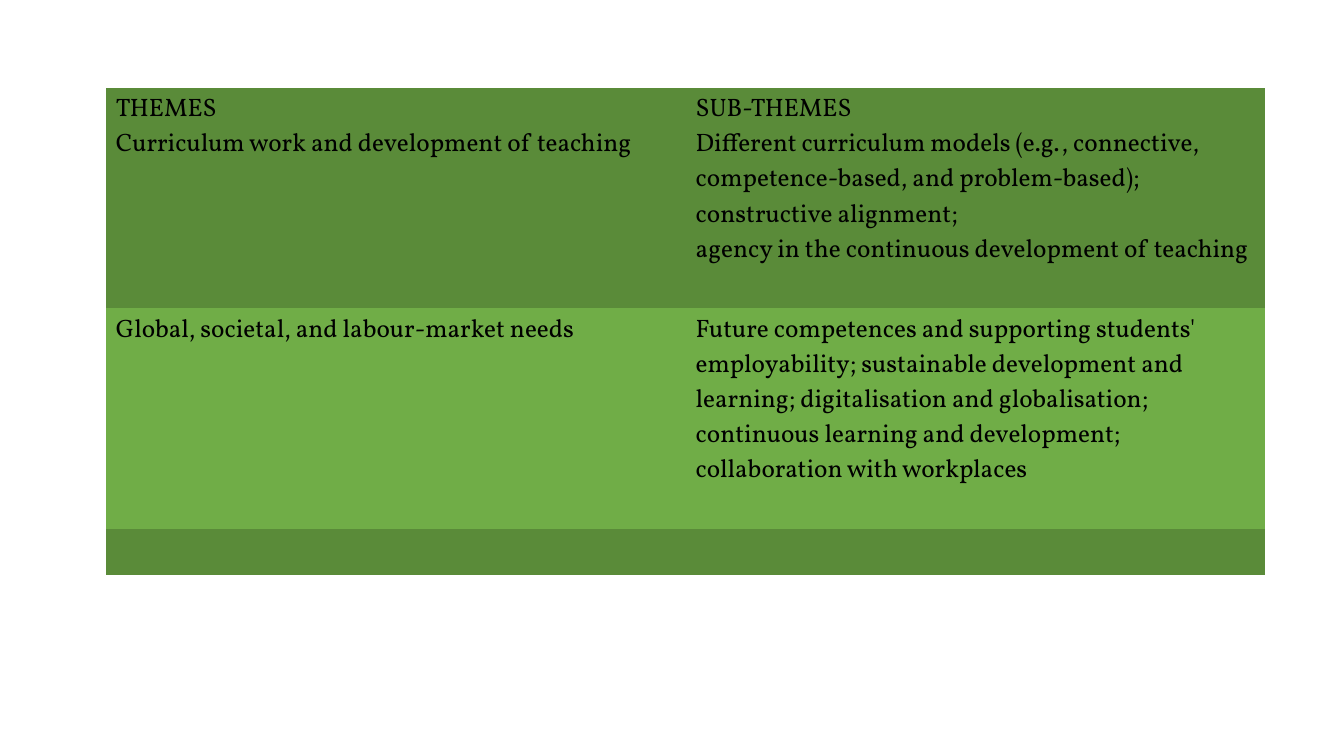
import dataclasses
import pptx
import pptx.dml.color
import pptx.oxml.ns
import pptx.util

Inches = pptx.util.Inches


@dataclasses.dataclass(frozen=True)
class Theme:
    font: str = "Vollkorn"
    size: float = 18
    text: str = "000000"
    dark: str = "5A8B39"
    light: str = "70AD47"
    table_style: str = "{2D5ABB26-0587-4C30-8999-92F81FD0307C}"


@dataclasses.dataclass(frozen=True)
class ThemeRow:
    themes: tuple[str, ...]
    sub_themes: tuple[str, ...]
    height: float
    fill: str


THEME = Theme()
COLUMN_WIDTH = 5.75
ROWS = (
    ThemeRow(
        ("THEMES", "Curriculum work and development of teaching"),
        (
            "SUB-THEMES",
            "Different curriculum models (e.g., connective, competence-based, "
            "and problem-based); constructive alignment;",
            "agency in the continuous development of teaching",
        ),
        2.19,
        THEME.dark,
    ),
    ThemeRow(
        ("Global, societal, and labour-market needs",),
        (
            "Future competences and supporting students' employability; "
            "sustainable development and learning; digitalisation and "
            "globalisation; continuous learning and development; "
            "collaboration with workplaces",
        ),
        2.19,
        THEME.light,
    ),
    ThemeRow((), (), 0.45, THEME.dark),
)


def add_text(p, text: str, *, font: str = THEME.font, size: float = THEME.size,
             color: str = THEME.text, bold: bool = False) -> None:
    r = p.add_run()
    r.text = text
    r.font.name = font
    r.font.size = pptx.util.Pt(size)
    r.font.bold = bold
    r.font.color.rgb = pptx.dml.color.RGBColor.from_string(color)


def fill_cell(cell, lines: tuple[str, ...], fill: str) -> None:
    cell.fill.solid()
    cell.fill.fore_color.rgb = pptx.dml.color.RGBColor.from_string(fill)
    tf = cell.text_frame
    for i, line in enumerate(lines):
        add_text(tf.add_paragraph() if i else tf.paragraphs[0], line)


def add_theme_table(s, rows: tuple[ThemeRow, ...], left: float, top: float) -> None:
    table = s.shapes.add_table(
        len(rows), 2, Inches(left), Inches(top), Inches(2 * COLUMN_WIDTH),
        Inches(sum(row.height for row in rows)),
    ).table
    table.first_row = table.horz_banding = False
    style = table._tbl.tblPr.find(pptx.oxml.ns.qn("a:tableStyleId"))
    style.text = THEME.table_style
    for column in table.columns:
        column.width = Inches(COLUMN_WIDTH)
    for table_row, row in zip(table.rows, rows):
        table_row.height = Inches(row.height)
        for cell, lines in zip(table_row.cells, (row.themes, row.sub_themes)):
            fill_cell(cell, lines, row.fill)


prs = pptx.Presentation()
prs.slide_width = Inches(13.33)
prs.slide_height = Inches(7.5)
s = prs.slides.add_slide(prs.slide_layouts[6])
add_theme_table(s, ROWS, 1.05, 0.87)
prs.save("out.pptx")
